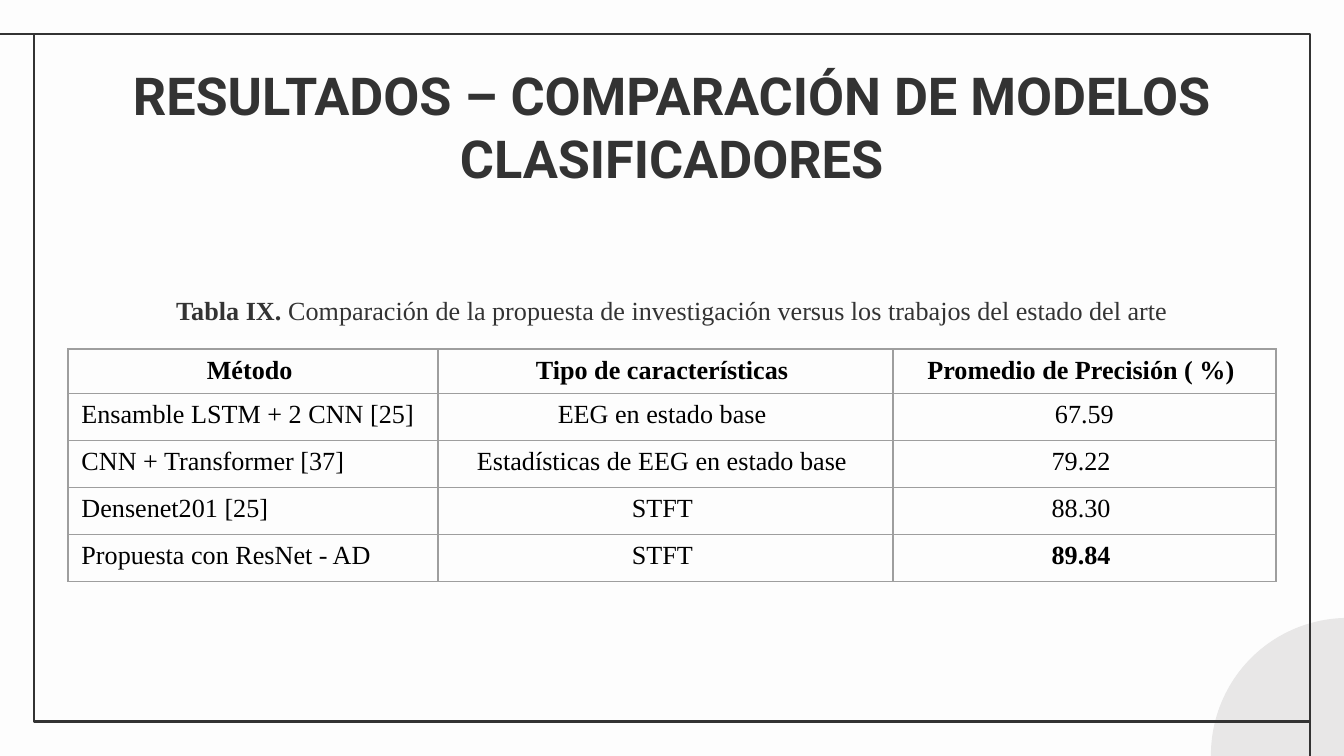
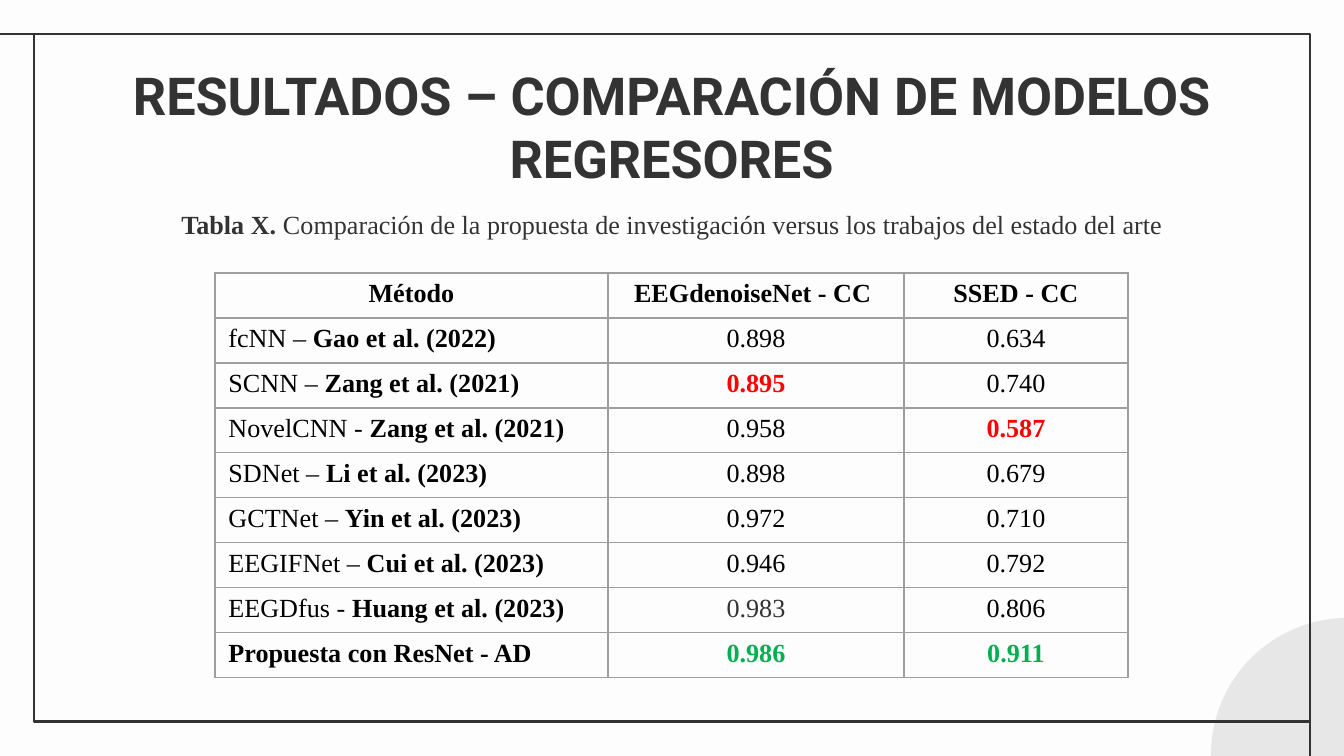
from dataclasses import dataclass

from lxml import etree
from pptx import Presentation
from pptx.dml.color import RGBColor
from pptx.enum.shapes import MSO_CONNECTOR, MSO_SHAPE
from pptx.enum.text import MSO_AUTO_SIZE, PP_ALIGN
from pptx.oxml.ns import qn
from pptx.util import Emu, Pt

LINE = MSO_CONNECTOR.STRAIGHT
RECT, OVAL = MSO_SHAPE.RECTANGLE, MSO_SHAPE.OVAL
LEFT, MID = PP_ALIGN.LEFT, PP_ALIGN.CENTER
GROW = MSO_AUTO_SIZE.SHAPE_TO_FIT_TEXT
WIDE, HIGH = 1344, 756
SCALE = 9144000 / WIDE


@dataclass(frozen=True)
class Theme:
    back: str = "FDFDFD"
    ink: str = "333333"
    disc: str = "E8E7E7"
    grid: str = "9E9E9E"
    black: str = "000000"
    red: str = "FF0000"
    green: str = "00B050"
    head: str = "Roboto"
    body: str = "Times New Roman"
    big: int = 28
    small: int = 14
    rule: float = 1.5
    hair: float = 0.75


T = Theme()


def px(n):
    return Emu(round(n * SCALE))


def rgb(code):
    return RGBColor.from_string(code)


def write(frame, text, face, size, tone, align=MID):
    para = frame.paragraphs[0]
    para.alignment = align
    for i, part in enumerate(text.split("|")):
        if not part:
            continue
        run = para.add_run()
        run.text = part
        font = run.font
        font.name, font.size, font.bold = face, Pt(size), i % 2 == 1
        font.color.rgb = rgb(tone)


def label(slide, box, text, face, size):
    shape = slide.shapes.add_textbox(*map(px, box))
    frame = shape.text_frame
    frame.word_wrap = True
    write(frame, text, face, size, T.ink)
    return frame


def rule(slide, *ends):
    line = slide.shapes.add_connector(LINE, *map(px, ends))
    line.line.color.rgb = rgb(T.ink)
    line.line.width = Pt(T.rule)
    etree.SubElement(line._element.spPr, qn("a:effectLst"))


def border(slide, box):
    x, y, w, h = box
    disc = slide.shapes.add_shape(OVAL, px(x + w - 99), px(y + h - 104), px(274), px(274))
    disc.shadow.inherit = False
    disc.fill.solid()
    disc.fill.fore_color.rgb = rgb(T.disc)
    disc.line.fill.background()
    edge = slide.shapes.add_shape(RECT, *map(px, box))
    edge.shadow.inherit = False
    edge.fill.background()
    edge.line.color.rgb = rgb(T.ink)
    edge.line.width = Pt(T.rule)
    rule(slide, x + 1, y, x - 37, y)
    rule(slide, x + w, y + h, x + w, y + h + 51)


def outline(cell):
    props = cell._tc.get_or_add_tcPr()
    for tag in ("a:lnL", "a:lnR", "a:lnT", "a:lnB"):
        line = etree.SubElement(props, qn(tag), w=str(Pt(T.hair)))
        fill = etree.SubElement(line, qn("a:solidFill"))
        etree.SubElement(fill, qn("a:srgbClr"), val=T.grid)


def grid(slide, at, cols, highs, rows, tones):
    box = (*at, sum(cols), sum(highs))
    table = slide.shapes.add_table(len(rows), len(cols), *map(px, box)).table
    table.first_row = table.horz_banding = False
    for col, wide in zip(table.columns, cols):
        col.width = px(wide)
    for row, high in zip(table.rows, highs):
        row.height = px(high)
    for r, row in enumerate(rows):
        for c, text in enumerate(row):
            cell = table.cell(r, c)
            outline(cell)
            cell.fill.background()
            align = LEFT if r and not c else MID
            tone = tones.get((r, c), T.black)
            write(cell.text_frame, text, T.body, T.small, tone, align)


def page(deck, topic, name, top, at, cols, highs, rows, tones):
    slide = deck.slides.add_slide(deck.slide_layouts[6])
    border(slide, (34, 34, 1276, 688))
    title = f"|RESULTADOS – COMPARACIÓN DE MODELOS {topic}"
    frame = label(slide, (68, 50, 1207, 151), title, T.head, T.big)
    frame.margin_top = frame.margin_bottom = frame.margin_left
    note = f"|{name}. |Comparación de la propuesta de investigación versus los trabajos del estado del arte"
    label(slide, (86, top, 1173, 46), note, T.body, T.small).auto_size = GROW
    grid(slide, at, cols, highs, rows, tones)


SORTS = [
    ("|Método ", "|Tipo de características ", "|Promedio de Precisión ( %) "),
    ("Ensamble LSTM + 2 CNN [25]", "EEG en estado base ", "67.59"),
    ("CNN + Transformer [37]", "Estadísticas de EEG en estado base ", "79.22 "),
    ("Densenet201 [25]", "STFT ", "88.30 "),
    ("Propuesta con ResNet - AD", "STFT ", "|89.84 "),
]
FITS = [
    ("|Método", "|EEGdenoiseNet - CC ", "|SSED - CC"),
    ("fcNN – |Gao et al. (2022)", "0.898", "0.634"),
    ("SCNN – |Zang et al. (2021)", "|0.895", "0.740"),
    ("NovelCNN - |Zang et al. (2021)", "0.958", "|0.587"),
    ("SDNet – |Li et al. (2023)", "0.898", "0.679"),
    ("GCTNet – |Yin et al. (2023)", "0.972", "0.710"),
    ("EEGIFNet – |Cui et al. (2023)", "0.946", "0.792"),
    ("EEGDfus - |Huang et al. (2023)", "0.983", "0.806"),
    ("|Propuesta con ResNet - AD", "|0.986", "|0.911"),
]
MARKS = {(2, 1): T.red, (3, 2): T.red, (7, 1): T.ink, (8, 1): T.green, (8, 2): T.green}


def main():
    deck = Presentation()
    deck.slide_width, deck.slide_height = px(WIDE), px(HIGH)
    fill = deck.slide_master.background.fill
    fill.solid()
    fill.fore_color.rgb = rgb(T.back)
    page(deck, "CLASIFICADORES", "Tabla IX", 288, (68, 349), (370, 455, 383),
         [43] + [47] * 4, SORTS, {})
    page(deck, "REGRESORES", "Tabla X", 202, (215, 273), (393, 296, 224),
         [45] * len(FITS), FITS, MARKS)
    deck.save("out.pptx")


if __name__ == "__main__":
    main()
